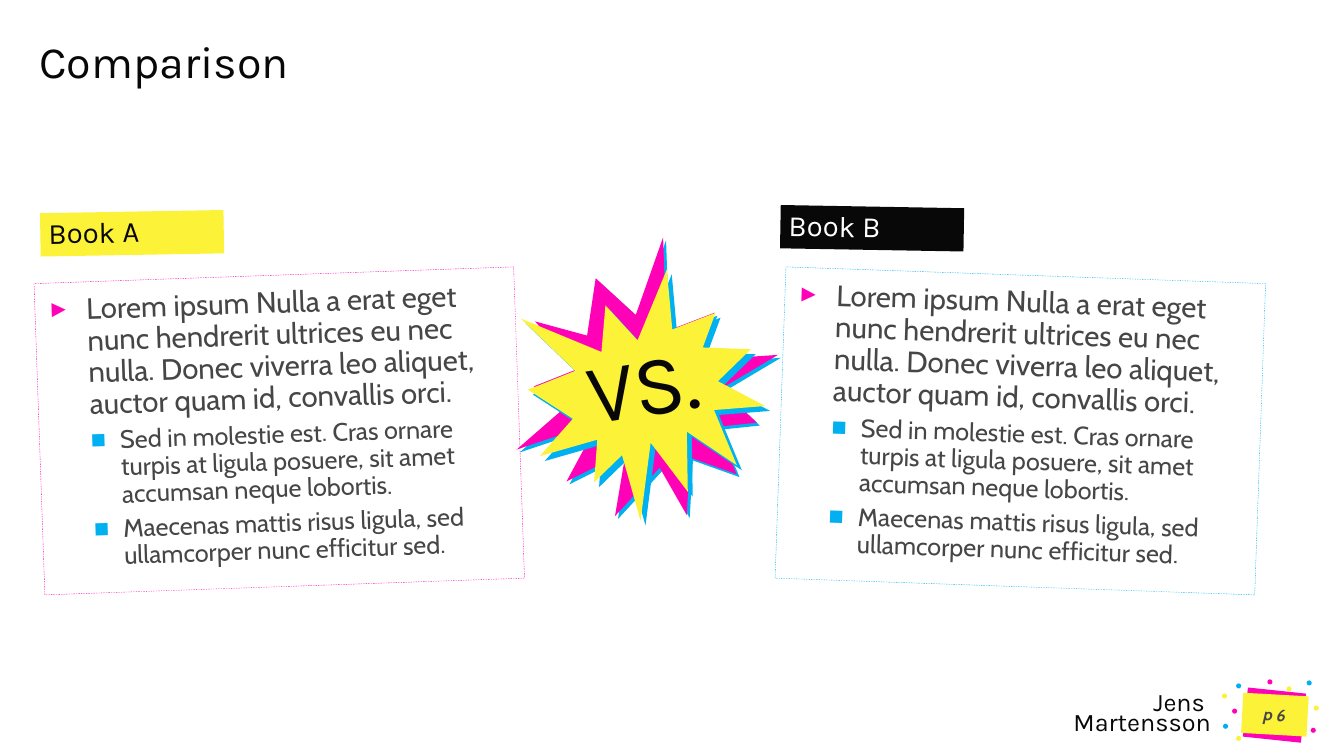
from lxml import etree
from pptx import Presentation
from pptx.dml.color import RGBColor
from pptx.enum.dml import MSO_LINE
from pptx.enum.shapes import MSO_SHAPE
from pptx.enum.text import MSO_ANCHOR, PP_ALIGN
from pptx.oxml.ns import qn
from pptx.util import Inches, Pt

RECT, OVAL, BURST = MSO_SHAPE.RECTANGLE, MSO_SHAPE.OVAL, MSO_SHAPE.EXPLOSION1
LEFT, MID, RIGHT = PP_ALIGN.LEFT, PP_ALIGN.CENTER, PP_ALIGN.RIGHT
TOP, CENTER = MSO_ANCHOR.TOP, MSO_ANCHOR.MIDDLE
DASH = MSO_LINE.DASH
PINK, BLUE, YELLOW = "FF01B6", "00B0F0", "FCF238"
BLACK, WHITE, GRAY = "080808", "FFFFFF", "464646"
HEAD, BODY = "Karla", "Cabin"


def color(code):
    return RGBColor.from_string(code)


def child(parent, tag, **attrs):
    return etree.SubElement(parent, qn(tag), {k: str(v) for k, v in attrs.items()})


class Page:
    def __init__(self, slide):
        self.slide = slide

    def shape(self, kind, box, fill=None, turn=0, line=None, shade=0):
        item = self.slide.shapes.add_shape(kind, *map(Inches, box))
        item.rotation = turn
        item.shadow.inherit = False
        if fill:
            item.fill.solid()
            item.fill.fore_color.rgb = color(fill)
        else:
            item.fill.background()
        if line:
            item.line.color.rgb = color(line)
            item.line.width = Pt(0.25)
            item.line.dash_style = DASH
        else:
            item.line.fill.background()
        if shade:
            effect = item._element.spPr.find(qn("a:effectLst"))
            outer = child(effect, "a:outerShdw", blurRad=0, dist=Pt(shade),
                          dir=45 * 60000, algn="tl", rotWithShape=0)
            child(outer, "a:srgbClr", val=BLUE)
        return item

    def box(self, box):
        return self.slide.shapes.add_textbox(*map(Inches, box))

    def frame(self, item, pad=(0, 0, 0, 0), anchor=CENTER):
        frame = item.text_frame
        frame.word_wrap = True
        frame.vertical_anchor = anchor
        (frame.margin_left, frame.margin_top,
         frame.margin_right, frame.margin_bottom) = map(Inches, pad)
        return frame

    def style(self, para, size, name, ink, align=LEFT, space=0.9):
        para.alignment = align
        para.line_spacing = space
        para.font.size = Pt(size)
        para.font.name = name
        para.font.color.rgb = color(ink)

    def text(self, item, words, size, ink=BLACK, name=HEAD, align=LEFT,
             space=0.9, pad=(0, 0, 0, 0), anchor=CENTER):
        para = self.frame(item, pad, anchor).paragraphs[0]
        para.text = words
        self.style(para, size, name, ink, align, space)
        return para

    def bullets(self, item, rows):
        frame = self.frame(item, (0.12, 0.12, 0.12, 0), TOP)
        for n, (level, words) in enumerate(rows):
            para = frame.add_paragraph() if n else frame.paragraphs[0]
            para.text = words
            para.level = level
            size, edge, hang, mark, ink, scale = LEVELS[level]
            if n:
                para.space_before = Pt(5)
            para.line_spacing = 0.9
            props = para._p.get_or_add_pPr()
            props.set("marL", str(Inches(edge)))
            props.set("indent", str(-Inches(hang)))
            child(child(props, "a:buClr"), "a:srgbClr", val=ink)
            child(props, "a:buSzPct", val=scale * 1000)
            child(props, "a:buFont", typeface="Arial")
            child(props, "a:buChar", char=mark)
            self.style(para, size, BODY, GRAY)


# Per level: size, left edge, hanging indent, mark, mark colour, mark percent
LEVELS = [(21, 0.39, 0.39, "►", PINK, 80), (18, 0.68, 0.29, "■", BLUE, 100)]
POINTS = [
    (0, "Lorem ipsum Nulla a erat eget nunc hendrerit ultrices eu nec nulla. "
        "Donec viverra leo aliquet, auctor quam id, convallis orci."),
    (1, "Sed in molestie est. Cras ornare turpis at ligula posuere, "
        "sit amet accumsan neque lobortis."),
    (1, "Maecenas mattis risus ligula, sed ullamcorper nunc efficitur sed."),
]
# Label, label left and top, list left, label fill, label ink, border, tilt
BOOKS = [
    ("Book A", 0.4, 2.1, 0.39, YELLOW, BLACK, PINK, -1),
    ("Book B", 7.74, 2.05, 7.74, BLACK, WHITE, BLUE, 1),
]
DOTS = {
    BLUE: [(12.96, 6.75), (12.26, 6.78), (12.13, 7.18)],
    PINK: [(12.57, 6.74), (13, 7.22), (12.22, 7.03)],
    YELLOW: [(12.12, 6.88), (12.76, 6.81), (13.03, 7), (12.26, 7.3)],
}


def main():
    deck = Presentation()
    deck.slide_width, deck.slide_height = Inches(13.33), Inches(7.5)
    page = Page(deck.slides.add_slide(deck.slide_layouts[6]))

    # Title
    page.text(page.box((0.39, 0.39, 12.55, 0.59)), "Comparison", 32, anchor=TOP)

    # Books
    for label, left, top, edge, fill, ink, line, tilt in BOOKS:
        tag = page.shape(RECT, (left, top, 1.82, 0.43), fill, tilt)
        page.text(tag, label, 21, ink, pad=(0.08, 0, 0, 0))
        panel = page.shape(RECT, (edge, 2.73, 4.76, 3.09), turn=2 * tilt, line=line)
        page.bullets(panel, POINTS)

    # Burst between the books
    page.shape(BURST, (5.15, 2.59, 2.45, 2.67), PINK, 55.7, shade=3)
    burst = page.shape(BURST, (5.26, 2.72, 2.3, 2.42), YELLOW, 351.1, shade=5)
    page.text(burst, "VS.", 60, align=MID)

    # Footer name, confetti and page number
    page.text(page.box((10.38, 6.91, 1.63, 0.4)), "Jens \vMartensson", 18,
              align=RIGHT, space=Pt(14))
    page.shape(RECT, (12.35, 6.85, 0.58, 0.49), PINK, 6)
    for fill, spots in DOTS.items():
        for left, top in spots:
            page.shape(OVAL, (left, top, 0.05, 0.05), fill)
    badge = page.shape(RECT, (12.32, 6.89, 0.65, 0.4), YELLOW, 3.2)
    para = page.text(badge, "p 6", 12, GRAY, BODY, MID, 1.0)
    para.font.bold = para.font.italic = True

    deck.save("out.pptx")


if __name__ == "__main__":
    main()
